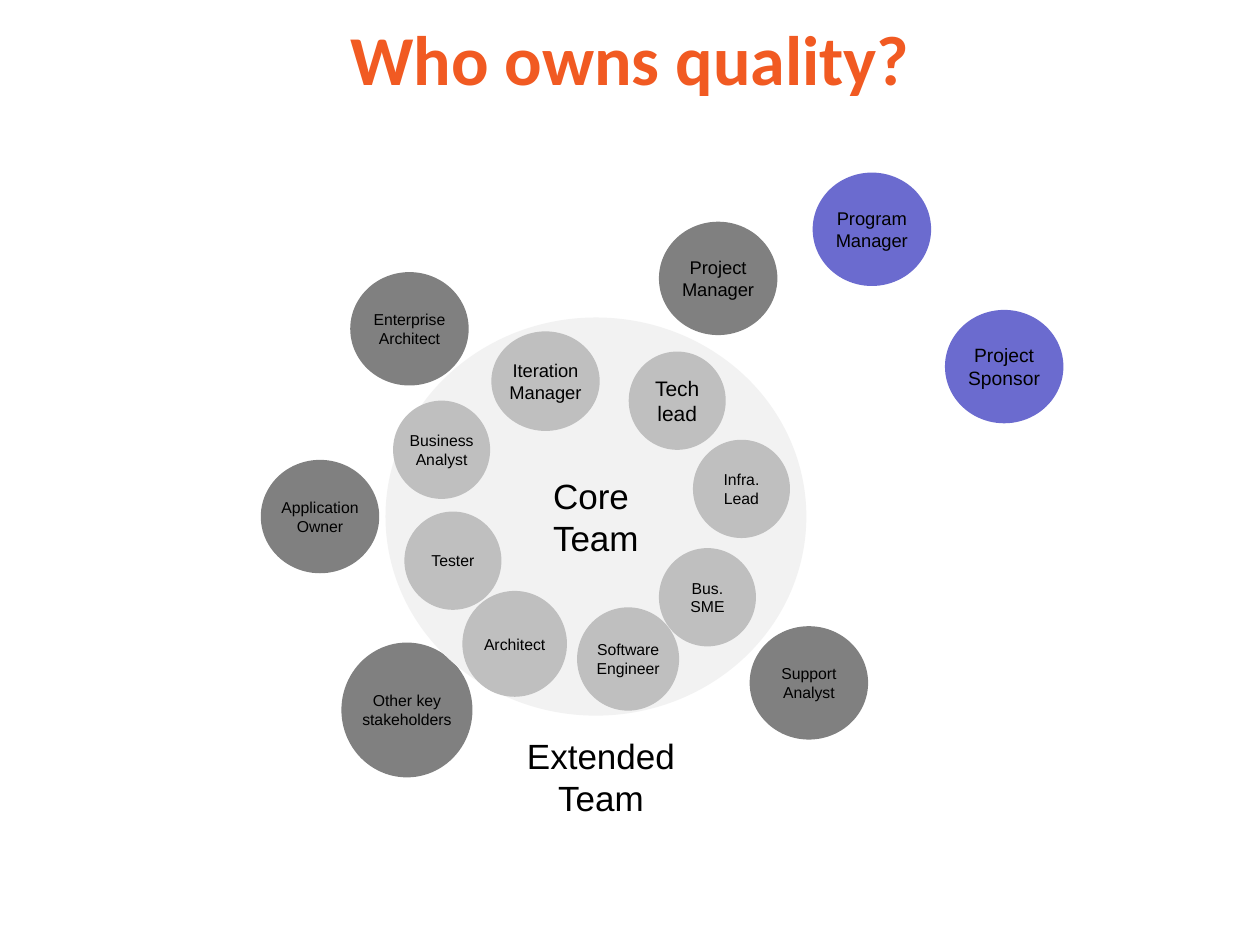
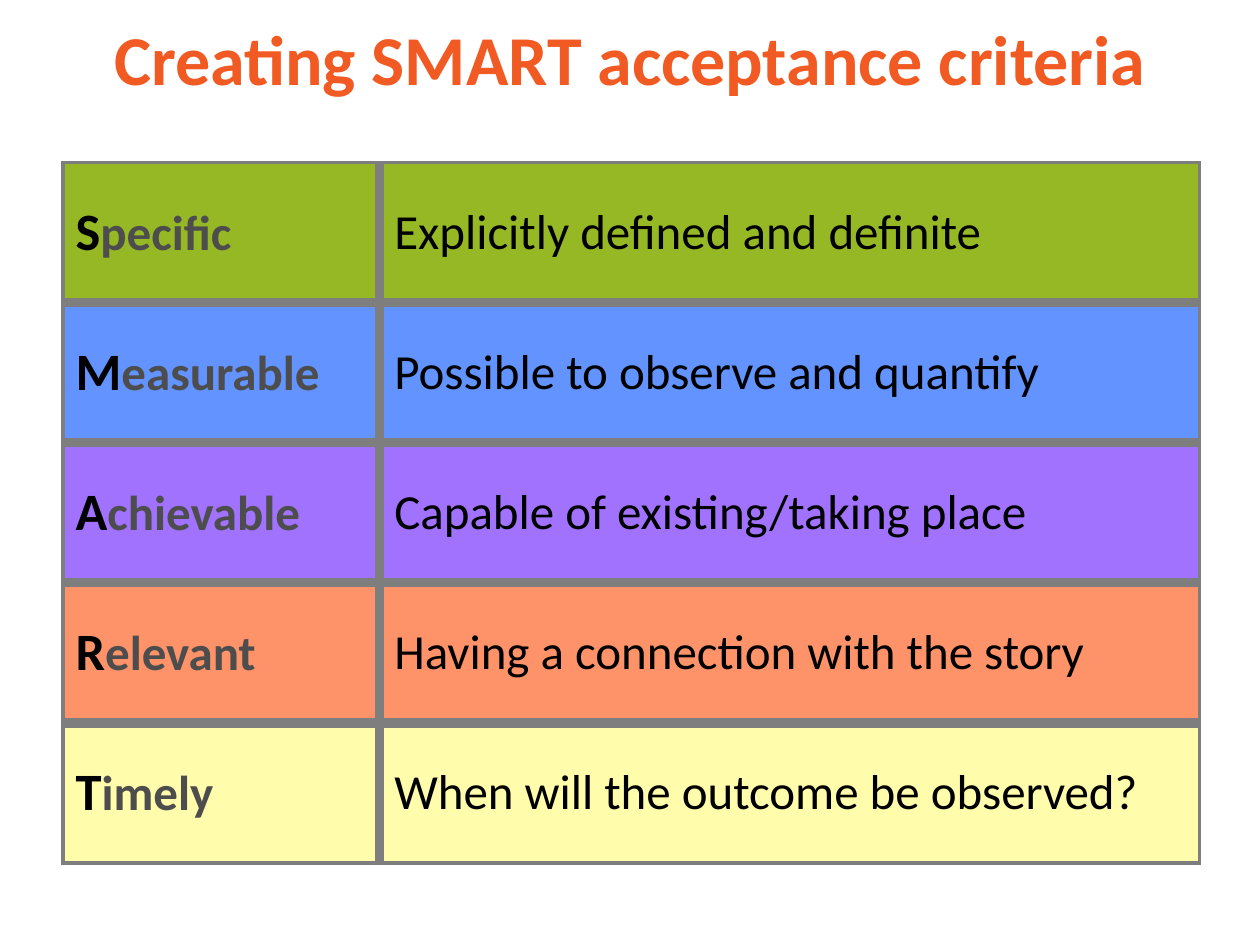
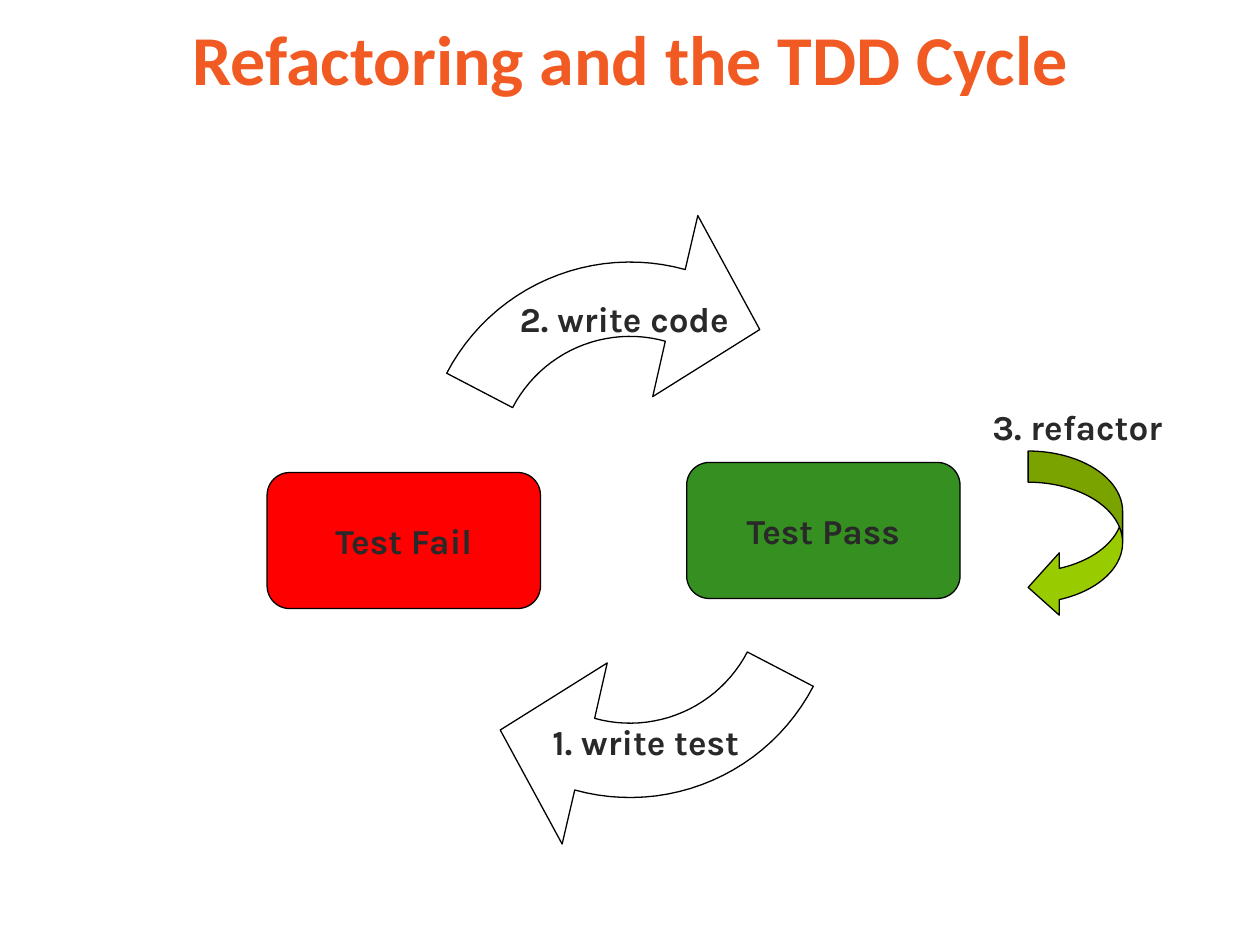
import math
from dataclasses import dataclass

import pptx
import pptx.dml.color
import pptx.enum.shapes
import pptx.enum.text
import pptx.oxml
import pptx.oxml.ns
import pptx.util

SHAPE = pptx.enum.shapes.MSO_SHAPE
ANCHOR = pptx.enum.text.MSO_ANCHOR
ALIGN = pptx.enum.text.PP_ALIGN


@dataclass(frozen=True)
class Theme:
    # Fonts
    title_font: str = "Calibri"
    team_font: str = "Arial"
    cycle_font: str = "Karla"
    # Type sizes
    title: float = 40
    heading: float = 20
    initial: float = 30
    body: float = 28
    # Colours
    orange: str = "F15A22"
    black: str = "000000"
    ink: str = "292929"
    gray: str = "4D4D4D"
    border: str = "7E7E7E"
    white: str = "FFFFFF"
    team: str = "F2F2F2"
    core: str = "BFBFBF"
    extended: str = "808080"
    sponsor: str = "6B6BCF"
    fail: str = "FF0000"
    passed: str = "368F21"
    refactor: str = "99CC00"


T = Theme()

# The slide is a grid of 100 columns and 75 rows of square cells
COLS, ROWS = 100, 75
CELL = pptx.util.Inches(0.1)


def cells(*lengths):
    return [round(n * CELL) for n in lengths]


def rgb(value):
    return pptx.dml.color.RGBColor.from_string(value)


# ---- Text ----
def set_font(font, size, name, color, bold=False):
    font.size = pptx.util.Pt(size)
    font.name = name
    font.bold = bold
    font.color.rgb = rgb(color)


def set_margins(box, x, y):
    box.margin_left = box.margin_right = pptx.util.Inches(x)
    box.margin_top = box.margin_bottom = pptx.util.Inches(y)


def write(tf, text, size, name, color, bold=False, wrap=True):
    tf.word_wrap = wrap
    tf.text = text
    for p in tf.paragraphs:
        p.alignment = ALIGN.CENTER
        set_font(p.font, size, name, color, bold)


def add_label(s, box, text, size, name, color, bold=False):
    tf = s.shapes.add_textbox(*cells(*box)).text_frame
    write(tf, text, size, name, color, bold)
    return tf


def add_title_slide(prs, title):
    s = prs.slides.add_slide(prs.slide_layouts[6])
    tf = add_label(s, (4, 0, 92, 9.2), title, T.title, T.title_font, T.orange, True)
    set_margins(tf, 0.03, 0.03)
    tf.vertical_anchor = ANCHOR.MIDDLE
    return s


# ---- Shapes ----
def paint(sp, fill, line=None):
    sp.shadow.inherit = False
    sp.fill.solid()
    sp.fill.fore_color.rgb = rgb(fill)
    if line:
        sp.line.color.rgb = rgb(line)
        sp.line.width = pptx.util.Pt(0.75)
    else:
        sp.line.fill.background()


def add_block(s, kind, box, fill, line=None):
    sp = s.shapes.add_shape(kind, *cells(*box))
    paint(sp, fill, line)
    sp.text_frame.vertical_anchor = ANCHOR.MIDDLE
    return sp


def add_role(s, text, left, top, fill, size=9, w=9.4, h=9):
    tf = add_block(s, SHAPE.OVAL, (left, top, w, h), fill).text_frame
    set_margins(tf, 0, 0.05)
    write(tf, text, size, T.team_font, T.black)


def add_state(s, text, left, top, fill):
    sp = add_block(s, SHAPE.ROUNDED_RECTANGLE, (left, top, 21.7, 10.8), fill, T.black)
    write(sp.text_frame, text, T.heading, T.cycle_font, T.ink, True, wrap=False)


def add_arc_arrow(s, cx, cy, turn=0):
    """Clockwise band around (cx, cy), from 152.5 to 74.5 degrees, with a head."""
    tail, neck, steps = 152.5, 74.5, 24
    sweep = [tail + (neck - tail) * i / steps for i in range(steps + 1)]
    outline = [(16.4, a) for a in sweep]
    outline += [(20.8, 75), (15.1, 47), (6, 72.5)]
    outline += [(10.5, a) for a in reversed(sweep)]
    points = []
    for radius, angle in outline:
        a = math.radians(angle + turn)
        points.append(cells(cx + radius * math.cos(a), cy - radius * math.sin(a)))
    fb = s.shapes.build_freeform(*points[0])
    fb.add_line_segments(points[1:], close=True)
    paint(fb.convert_to_shape(), T.white, T.black)


# ---- Table ----
def set_borders(cell, **widths):
    """Widths in points for the sides L, R, T and B, in that order."""
    tcPr = cell._tc.get_or_add_tcPr()
    for i, (side, width) in enumerate(widths.items()):
        tcPr.insert(i, pptx.oxml.parse_xml(
            f'<a:ln{side} {pptx.oxml.ns.nsdecls("a")} w="{pptx.util.Pt(width)}">'
            f'<a:solidFill><a:srgbClr val="{T.border}"/></a:solidFill></a:ln{side}>'))


def add_criteria_table(s, criteria):
    n = len(criteria)
    row_height = 11.12
    widths = cells(25.1, 65.1)
    table = s.shapes.add_table(
        n, 2, *cells(5, 12.9, 90.2, n * row_height)).table
    table.first_row = table.horz_banding = False
    for column, width in zip(table.columns, widths):
        column.width = width
    outer, inner = 2, 6
    for i, (word, meaning, fill) in enumerate(criteria):
        table.rows[i].height = cells(row_height)[0]
        for j, margin in enumerate((0.1, 0.12)):
            cell = table.cell(i, j)
            cell.fill.solid()
            cell.fill.fore_color.rgb = rgb(fill)
            cell.vertical_anchor = ANCHOR.MIDDLE
            set_margins(cell, margin, margin)
            set_borders(cell,
                        L=inner if j else outer,
                        R=outer if j else inner,
                        T=inner if i else outer,
                        B=inner if i < n - 1 else outer)
        p = table.cell(i, 0).text_frame.paragraphs[0]
        for text, size, color in ((word[0], T.initial, T.black),
                                  (word[1:], T.body, T.gray)):
            r = p.add_run()
            r.text = text
            set_font(r.font, size, T.title_font, color, True)
        p = table.cell(i, 1).text_frame.paragraphs[0]
        p.text = meaning
        set_font(p.font, T.body, T.title_font, T.black)


# ---- Slides ----
def quality_slide(prs):
    s = add_title_slide(prs, "Who owns quality?")

    # Extended team, behind the core team
    add_label(s, (39.9, 57.8, 15.6, 7.1), "Extended Team",
              T.heading, T.team_font, T.black)
    add_role(s, "Project Manager", 52.3, 17.6, T.extended, 10.5)
    add_role(s, "Support\nAnalyst", 59.5, 49.7, T.extended)
    add_role(s, "Other key stakeholders", 27.1, 51, T.extended, w=10.4, h=10.7)
    add_role(s, "Application Owner", 20.7, 36.5, T.extended)
    add_role(s, "Enterprise Architect", 27.8, 21.6, T.extended)

    # Core team
    hub = add_block(s, SHAPE.OVAL, (30.6, 25.2, 33.4, 31.6), T.team)
    write(hub.text_frame, "Core \nTeam", T.heading, T.team_font, T.black)
    for text, left, top, size, w, h in (
            ("Iteration Manager", 39, 26.3, 10.5, 8.6, 7.9),
            ("Tech\nlead", 49.9, 27.9, 12, 7.7, 7.8),
            ("Infra. Lead", 55, 34.9, 9, 7.7, 7.8),
            ("Bus. SME", 52.3, 43.5, 9, 7.7, 7.8),
            ("Software\nEngineer", 45.8, 48.2, 9, 8.1, 8.2),
            ("Architect", 36.7, 46.9, 9, 8.3, 8.4),
            ("Tester", 32.1, 40.6, 9, 7.7, 7.8),
            ("Business Analyst", 31.2, 31.8, 9, 7.7, 7.8)):
        add_role(s, text, left, top, T.core, size, w, h)

    # Sponsors
    add_role(s, "Program\nManager", 64.5, 13.7, T.sponsor, 10.5)
    add_role(s, "Project Sponsor", 75, 24.6, T.sponsor, 11)


def criteria_slide(prs):
    s = add_title_slide(prs, "Creating SMART acceptance criteria")
    add_criteria_table(s, (
        ("Specific", "Explicitly defined and definite", "96B825"),
        ("Measurable", "Possible to observe and quantify", "6293FE"),
        ("Achievable", "Capable of existing/taking place", "A072FD"),
        ("Relevant", "Having a connection with the story", "FE936A"),
        ("Timely", "When will the outcome be observed?", "FFFCAB")))


def cycle_slide(prs):
    s = add_title_slide(prs, "Refactoring and the TDD Cycle")

    # Cycle between the two states
    add_arc_arrow(s, 50, 37.2)
    add_arc_arrow(s, 50, 46.9, turn=180)
    add_state(s, "Test Fail", 21.2, 37.5, T.fail)
    add_state(s, "Test Pass", 54.5, 36.7, T.passed)

    # Steps
    for text, left, top, width in (("2. write code", 39.1, 23.1, 20.9),
                                   ("1. write test", 40, 56.7, 22.5),
                                   ("3. refactor", 77, 31.7, 17)):
        add_label(s, (left, top, width, 4.4), text,
                  T.heading, T.cycle_font, T.ink, True)

    # Refactoring loop
    loop = add_block(s, SHAPE.CURVED_LEFT_ARROW, (81.6, 35.8, 7.5, 13.3),
                     T.refactor, T.black)
    for i, value in enumerate((0.33, 0.66, 0.33)):
        loop.adjustments[i] = value


def main():
    prs = pptx.Presentation()
    prs.slide_width, prs.slide_height = cells(COLS, ROWS)
    quality_slide(prs)
    criteria_slide(prs)
    cycle_slide(prs)
    prs.save("out.pptx")


if __name__ == "__main__":
    main()
